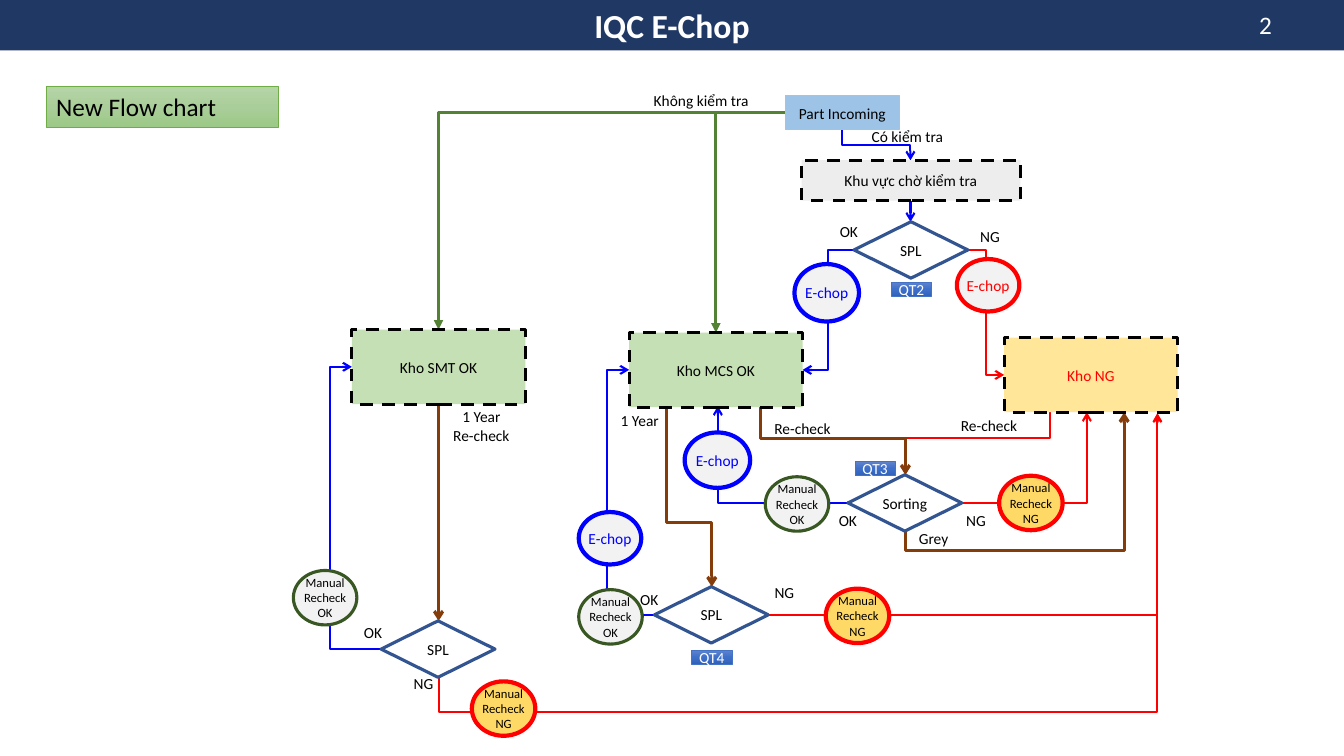
"""Build the IQC E-Chop flow chart slide on a grid of 0.1 inch cells."""
import copy

import pptx
import pptx.chart.data
import pptx.dml.color
import pptx.enum.dml
import pptx.enum.shapes
import pptx.enum.text
import pptx.oxml
import pptx.oxml.ns
import pptx.util

CELL = pptx.util.Inches(0.1)
COLUMNS, ROWS = 133.3, 75
BLUE, RED, BROWN, GREEN = "0000FF", "FF0000", "843C0B", "548235"
BLACK, WHITE, GREY, DARK_GREEN = "000000", "FFFFFF", "F2F2F2", "385723"
TAG_STOPS = ["6183CB", "3E70CA", "3062BB"]
HEADING_STOPS = ["B5D5A7", "AACE9A", "9CC987"]
shapes = pptx.enum.shapes.MSO_SHAPE
align = pptx.enum.text.PP_ALIGN


def paint(fill, colour):
    """Fill with one hex colour, a list of three gradient colours, or nothing."""
    if colour is None:
        fill.background()
    elif isinstance(colour, list):
        fill.gradient()
        fill.gradient_angle = 270
        stops = fill._xPr.find(".//" + pptx.oxml.ns.qn("a:gsLst"))
        stops.insert(1, copy.deepcopy(stops[0]))
        for number, stop in enumerate(fill.gradient_stops):
            stop.position = number / 2
            stop.color.rgb = pptx.dml.color.RGBColor.from_string(colour[number])
    else:
        fill.solid()
        fill.fore_color.rgb = pptx.dml.color.RGBColor.from_string(colour)


deck = pptx.Presentation()
deck.slide_width = int(COLUMNS * CELL)
deck.slide_height = ROWS * CELL
page = deck.slides.add_slide(deck.slide_layouts[6])

# route: "across" and "down" bend twice at the given column or row, "corner" bends once
links = [
    ("across", (84.7, 24.8), (79.6, 36.7), 82.1, BLUE, 1.5, "arrow"),
    ("corner", (77.9, 11.2), (71, 33), None, GREEN, 2.25, "triangle"),
    ("corner", (77.9, 11.2), (43.5, 32.7), None, GREEN, 2.25, "triangle"),
    ("across", (96, 24.8), (99.6, 37.2), 97.8, RED, 1.5, "arrow"),
    ("down", (104.1, 40.9), (89.8, 47.1), 43.5, RED, 1.5, "arrow"),
    ("down", (75.4, 40.2), (89.8, 47.1), 43.5, BROWN, 2.25, "arrow"),
    ("corner", (84.1, 49.9), (71.2, 40.3), None, BLUE, 1.5, "arrow"),
    ("corner", (95.5, 49.9), (107.8, 40.9), None, RED, 1.5, "arrow"),
    ("down", (89.8, 52.7), (111.5, 40.9), 54.6, BROWN, 2.25, "arrow"),
    ("down", (83.5, 12.8), (90.3, 15.9), 14.4, BLUE, 1.5, "arrow"),
    ("straight", (90.3, 19.9), (90.3, 22), None, BLUE, 1.5, "arrow"),
    ("down", (66.1, 40.4), (70.6, 58.2), 51.8, BROWN, 2.25, "arrow"),
    ("across", (64.9, 61), (62.4, 36.7), 60.2, BLUE, 1.5, "arrow"),
    ("corner", (76.2, 61), (114.8, 41), None, RED, 1.5, "triangle"),
    ("straight", (43.5, 40), (43.5, 61.6), None, BROWN, 2.25, "arrow"),
    ("across", (37.8, 64.4), (34.9, 36.4), 32.7, BLUE, 1.5, "arrow"),
    ("down", (43.5, 67.2), (114.8, 41), 70.6, RED, 1.5, "arrow"),
]
for route, start, end, bend, colour, weight, head in links:
    (left, top), (right, bottom) = start, end
    if route == "down":
        middle_x, middle_y = (left + right) / 2, (top + bottom) / 2
        half_x, half_y = (right - left) / 2, (bottom - top) / 2
        left, right = middle_x - half_y, middle_x + half_y
        top, bottom = middle_y + half_x, middle_y - half_x
    connector_type = pptx.enum.shapes.MSO_CONNECTOR
    style = connector_type.STRAIGHT if route == "straight" else connector_type.ELBOW
    ends = [int(length * CELL) for length in (left, top, right, bottom)]
    link = page.shapes.add_connector(style, *ends)
    frame = link._element.spPr
    if route == "corner":
        frame.prstGeom.set("prst", "bentConnector2")
    if route == "down":
        frame.xfrm.set("rot", "5400000")
    if bend is not None:
        axis = 1 if route == "down" else 0
        share = (bend - start[axis]) / (end[axis] - start[axis])
        frame.prstGeom.rewrite_guides([("adj1", round(share * 100000))])
    paint(link.line.fill, colour)
    link.line.width = pptx.util.Pt(weight)
    tail = pptx.oxml.parse_xml(f'<a:tailEnd {pptx.oxml.ns.nsdecls("a")} type="{head}"/>')
    link.line._get_or_add_ln().append(tail)
    frame.append(pptx.oxml.parse_xml(f'<a:effectLst {pptx.oxml.ns.nsdecls("a")}/>'))

# kind: geometry, fill, outline, outline weight, text size, text colour, side inset
kinds = {
    "title": (shapes.RECTANGLE, "203864", None, 0, 24, WHITE, 1),
    "heading": (shapes.RECTANGLE, HEADING_STOPS, "70AD47", 0.5, 18, BLACK, 1),
    "number": (None, None, None, 0, 18, WHITE, 1),
    "part": (shapes.RECTANGLE, "9DC3E6", "BDBDBD", 0.75, 11, BLACK, 1),
    "waiting": (shapes.RECTANGLE, "EDEDED", BLACK, 2.25, 11, BLACK, 1),
    "store": (shapes.RECTANGLE, "C5E0B4", BLACK, 2.25, 11, BLACK, 1),
    "reject store": (shapes.RECTANGLE, "FFE699", BLACK, 2.25, 11, RED, 1),
    "decision": (shapes.FLOWCHART_DECISION, None, "325491", 2.25, 11, BLACK, 0),
    "chop": (shapes.OVAL, GREY, BLUE, 3, 11, BLUE, 0),
    "reject chop": (shapes.OVAL, GREY, RED, 3, 11, RED, 0),
    "manual": (shapes.OVAL, GREY, DARK_GREEN, 2.25, 9, BLACK, 0),
    "reject manual": (shapes.OVAL, "FFD966", RED, 3, 9, BLACK, 0),
    "tag": (shapes.RECTANGLE, TAG_STOPS, "4472C4", 0.5, 11, WHITE, 0),
    "label": (None, None, None, 0, 11, BLACK, 0),
}
dashed = {"waiting", "store", "reject store"}

items = [
    ("title", "IQC E-Chop", 0, 0, COLUMNS, 5),
    ("heading", "New Flow chart", 4.6, 8.6, 23, 4),
    ("number", "2", 123.9, 0.4, 7.2, 4),
    ("part", "Part Incoming", 77.9, 9.5, 11.3, 3.4),
    ("waiting", "Khu vực chờ kiểm tra", 79.5, 15.9, 21.7, 4),
    ("store", "Kho SMT OK", 34.9, 32.7, 17.2, 7.4),
    ("store", "Kho MCS OK", 62.4, 33, 17.2, 7.4),
    ("reject store", "Kho NG", 99.6, 33.5, 17.2, 7.4),
    ("chop", "E-chop", 78.8, 26.2, 6.4, 5.7),
    ("chop", "E-chop", 67.9, 42.9, 6.5, 5.5),
    ("chop", "E-chop", 57.4, 50.8, 6.2, 5.2),
    ("reject chop", "E-chop", 94.9, 25.7, 6.2, 5.2),
    ("label", "Không kiểm tra", 64.6, 9, 9.9, 1.9),
    ("label", "Có kiểm tra", 85.4, 12.6, 9.2, 1.9),
    ("label", "Re-check", 94.6, 41.2, 7, 1.9),
    ("label", "Re-check", 75.7, 41.5, 7.8, 1.9),
    ("label", "1 Year", 61.2, 41, 4.5, 1.4),
    ("label", "1 Year\nRe-check", 44.1, 40.8, 7.3, 2.9),
]
for text, left, top in [("SPL", 84.7, 22), ("Sorting", 84.1, 47.1),
                        ("SPL", 64.9, 58.2), ("SPL", 37.8, 61.6)]:
    items.append(("decision", text, left, top, 11.3, 5.6))
for left, top in [(75.9, 47.3), (29.1, 56.6), (57.4, 58.5)]:
    items.append(("manual", "Manual Recheck OK", left, top, 6.3, 5.4))
for left, top in [(99.1, 47.2), (81.9, 58.4), (46.8, 67.6)]:
    items.append(("reject manual", "Manual Recheck NG", left, top, 6.3, 5.4))
for text, left, top in [("QT2", 88.4, 28), ("QT3", 84.8, 45.8), ("QT4", 68.6, 64.5)]:
    items.append(("tag", text, left, top, 4, 1.4))
for text, left, top in [("OK", 82.2, 21.6), ("NG", 96.2, 22), ("NG", 94.8, 50.2),
                        ("OK", 82.1, 50.2), ("Grey", 90.6, 52), ("OK", 62.4, 58.1),
                        ("NG", 75.8, 57.4), ("OK", 35, 61.3), ("NG", 40, 66.4)]:
    items.append(("label", text, left, top, 4, 2.8))

for kind, text, *place in items:
    geometry, fill, outline, weight, size, ink, inset = kinds[kind]
    place = [int(length * CELL) for length in place]
    if geometry is None:
        box = page.shapes.add_textbox(*place)
    else:
        box = page.shapes.add_shape(geometry, *place)
        box.shadow.inherit = False
        paint(box.fill, fill)
        paint(box.line.fill, outline)
        if outline:
            box.line.width = pptx.util.Pt(weight)
        if kind in dashed:
            box.line.dash_style = pptx.enum.dml.MSO_LINE.DASH
    frame = box.text_frame
    frame.word_wrap = True
    frame.vertical_anchor = pptx.enum.text.MSO_ANCHOR.MIDDLE
    frame.margin_left = frame.margin_right = inset * CELL
    frame.margin_top = frame.margin_bottom = inset * CELL // 2
    frame.text = text
    for para in frame.paragraphs:
        para.alignment = align.LEFT if kind in ("heading", "number") else align.CENTER
        for span in para.runs:
            span.font.name = "Calibri"
            span.font.size = pptx.util.Pt(size)
            span.font.bold = kind == "title"
            paint(span.font.fill, ink)

deck.save("out.pptx")
